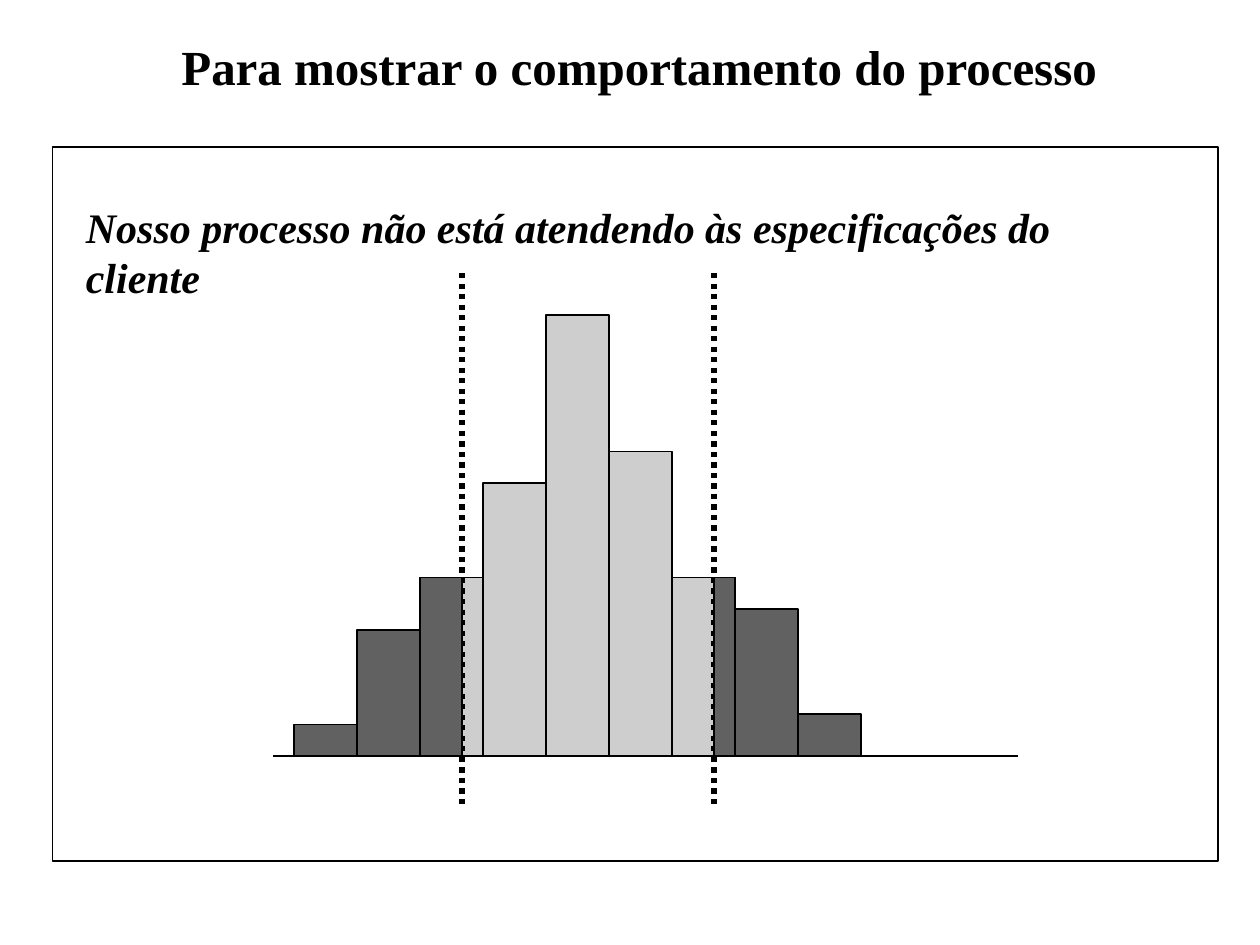
from typing import NamedTuple

from lxml import etree
from pptx import Presentation
from pptx import util as u
from pptx.dml.color import RGBColor
from pptx.enum import dml, shapes, text
from pptx.oxml.ns import qn
from pptx.shapes.autoshape import Shape
from pptx.shapes.connector import Connector

PX = u.Inches(1) // 120
BLACK = RGBColor(0x00, 0x00, 0x00)
OUTSIDE = RGBColor(0x61, 0x61, 0x61)
WITHIN = RGBColor(0xCE, 0xCE, 0xCE)
FONT = "Times New Roman"
BASELINE = 720
FIRST_BAR = 280
BAR_WIDTH = 60
LOWER_LIMIT, UPPER_LIMIT = 440, 680


class Bar(NamedTuple):
    height: int
    color: RGBColor


class Box(NamedTuple):
    left: int
    top: int
    width: int
    height: int


class Heading(NamedTuple):
    words: str
    box: Box
    size: int
    italic: bool


class Line(NamedTuple):
    start: tuple[int, int]
    end: tuple[int, int]
    weight: float
    dash: dml.MSO_LINE | None = None


BARS = [
    Bar(30, OUTSIDE),
    Bar(120, OUTSIDE),
    Bar(170, WITHIN),
    Bar(260, WITHIN),
    Bar(420, WITHIN),
    Bar(290, WITHIN),
    Bar(170, WITHIN),
    Bar(140, OUTSIDE),
    Bar(40, OUTSIDE),
]
OUTSIDE_PARTS = [Box(400, 550, 40, 170), Box(680, 550, 20, 170)]
FRAME = Box(50, 140, 1110, 680)
AXIS = Line((260, BASELINE), (970, BASELINE), 0.75)
LIMITS = [
    Line((x, 260), (x, 770), 3, dml.MSO_LINE.ROUND_DOT)
    for x in (LOWER_LIMIT, UPPER_LIMIT)
]
TITLE = Heading(
    "Para mostrar o comportamento do processo", Box(161, 29, 898, 68), 28, False
)
MESSAGE = Heading(
    "Nosso processo não está atendendo às especificações do cliente",
    Box(70, 186, 1061, 60),
    24,
    True,
)


def draw_rectangle(container, box: Box, color: RGBColor | None = None) -> Shape:
    shape = container.add_shape(
        shapes.MSO_SHAPE.RECTANGLE, *(value * PX for value in box)
    )
    shape.shadow.inherit = False
    if color is None:
        shape.fill.background()
    else:
        shape.fill.solid()
        shape.fill.fore_color.rgb = color
    shape.line.color.rgb = BLACK
    shape.line.width = u.Pt(0.75)
    return shape


def draw_line(container, line: Line) -> Connector:
    connector = container.add_connector(
        shapes.MSO_CONNECTOR.STRAIGHT,
        *(value * PX for value in line.start + line.end),
    )
    connector.line.color.rgb = BLACK
    connector.line.width = u.Pt(line.weight)
    if line.dash is not None:
        connector.line.dash_style = line.dash
    etree.SubElement(connector._element.spPr, qn("a:effectLst"))
    return connector


def draw_heading(container, heading: Heading) -> Shape:
    shape = container.add_textbox(*(value * PX for value in heading.box))
    frame = shape.text_frame
    frame.word_wrap = False
    frame.auto_size = text.MSO_AUTO_SIZE.SHAPE_TO_FIT_TEXT
    paragraph = frame.paragraphs[0]
    paragraph.text = heading.words
    paragraph.font.name = FONT
    paragraph.font.size = u.Pt(heading.size)
    paragraph.font.bold = True
    paragraph.font.italic = heading.italic
    paragraph.font.color.rgb = BLACK
    return shape


def main() -> None:
    presentation = Presentation()
    presentation.slide_width = 1200 * PX
    presentation.slide_height = 900 * PX
    slide = presentation.slides.add_slide(presentation.slide_layouts[6])

    draw_heading(slide.shapes, TITLE)
    histogram = slide.shapes.add_group_shape().shapes
    draw_line(histogram, AXIS)
    for index, bar in enumerate(BARS):
        left = FIRST_BAR + index * BAR_WIDTH
        box = Box(left, BASELINE - bar.height, BAR_WIDTH, bar.height)
        draw_rectangle(histogram, box, bar.color)
    for limit in LIMITS:
        draw_line(histogram, limit)
    for part in OUTSIDE_PARTS:
        draw_rectangle(histogram, part, OUTSIDE)
    draw_heading(histogram, MESSAGE)
    draw_rectangle(histogram, FRAME)

    presentation.save("out.pptx")


if __name__ == "__main__":
    main()
